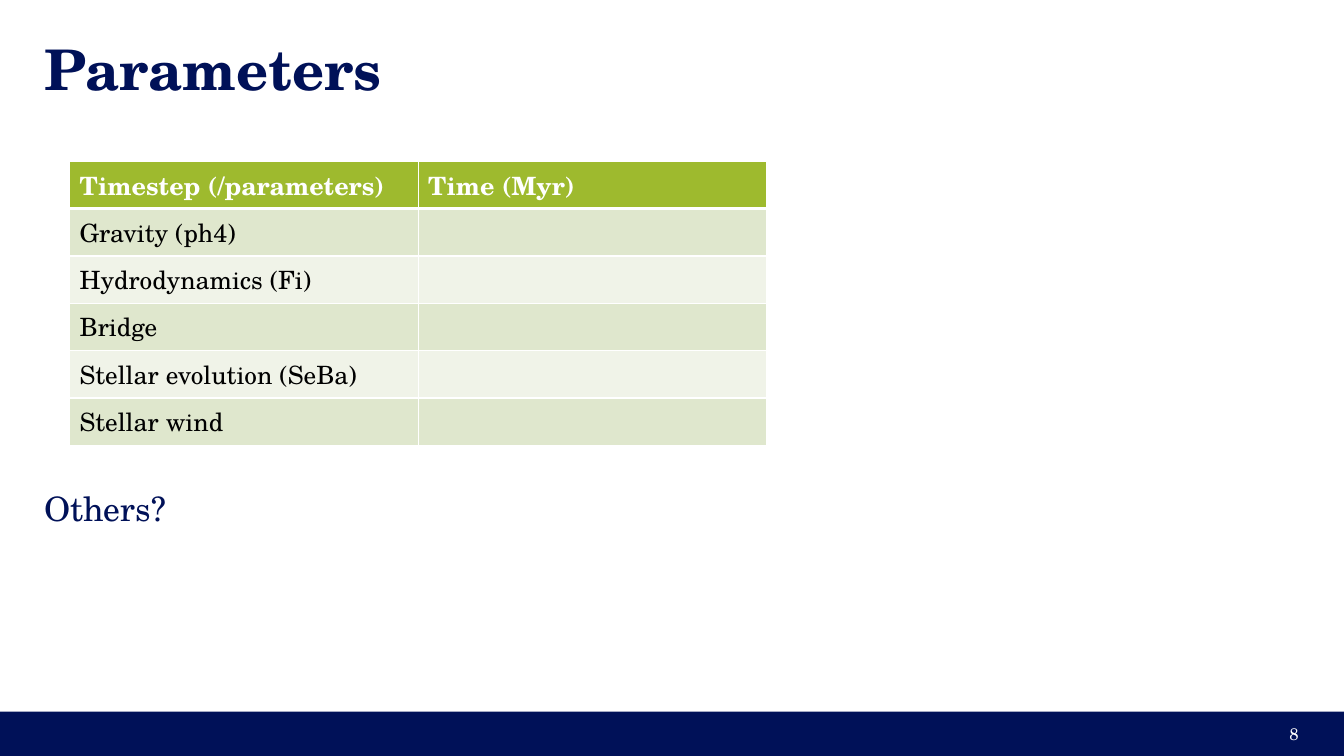
import pptx
import pptx.util
import pptx.dml.color
import pptx.enum.shapes
import pptx.enum.text
import pptx.oxml
import pptx.oxml.ns

WIDTH, HEIGHT = 13.34, 7.5
MARGIN = 0.44
FONT = "TeX Gyre Schola"
COLOURS = {
    "navy": "001158",
    "white": "FFFFFF",
    "black": "000000",
    "header": "9EBA2E",
    "odd": "DFE7CD",
    "even": "F0F3E8",
}
ROWS = [
    ("Timestep (/parameters)", "Time (Myr)"),
    ("Gravity (ph4)", ""),
    ("Hydrodynamics (Fi)", ""),
    ("Bridge", ""),
    ("Stellar evolution (SeBa)", ""),
    ("Stellar wind", ""),
]
COLUMN_WIDTH, ROW_HEIGHT = 3.46, 0.47


def inches(*lengths):
    return [pptx.util.Inches(length) for length in lengths]


def colour(name):
    return pptx.dml.color.RGBColor.from_string(COLOURS[name])


def style(font, size, name, bold=False):
    font.name = FONT
    font.size = pptx.util.Pt(size)
    font.bold = bold
    font.color.rgb = colour(name)


def add_text(page, area, text, size, name, bold=False, align="LEFT", anchor="MIDDLE"):
    frame = page.shapes.add_textbox(*inches(*area)).text_frame
    frame.word_wrap = True
    frame.vertical_anchor = getattr(pptx.enum.text.MSO_ANCHOR, anchor)
    frame.margin_left = frame.margin_right = 0
    frame.margin_top = frame.margin_bottom = 0
    para = frame.paragraphs[0]
    para.alignment = getattr(pptx.enum.text.PP_ALIGN, align)
    span = para.add_run()
    span.text = text
    style(span.font, size, name, bold)


def add_footer(page):
    height = 0.44
    bar = page.shapes.add_shape(
        pptx.enum.shapes.MSO_SHAPE.RECTANGLE,
        *inches(0, HEIGHT - height, WIDTH, height),
    )
    bar.shadow.inherit = False
    bar.fill.solid()
    bar.fill.fore_color.rgb = colour("navy")
    bar.line.fill.background()
    add_text(page, (9.99, 7.08, 2.9, 0.4), "8", 12, "white", align="RIGHT")


def set_borders(cell, bottom):
    """Draw white cell edges, 1 pt wide except for the bottom one."""
    properties = cell._tc.get_or_add_tcPr()
    edges = {"L": 1, "R": 1, "T": 1, "B": bottom}
    for position, (side, points) in enumerate(edges.items()):
        properties.insert(position, pptx.oxml.parse_xml(
            f'<a:ln{side} {pptx.oxml.ns.nsdecls("a")} w="{pptx.util.Pt(points)}">'
            f'<a:solidFill><a:srgbClr val="{COLOURS["white"]}"/></a:solidFill>'
            f'</a:ln{side}>'))


def fill_cell(cell, text, row):
    header = row == 0
    cell.fill.solid()
    cell.fill.fore_color.rgb = colour("header" if header else "odd" if row % 2 else "even")
    set_borders(cell, 3 if header else 1)
    para = cell.text_frame.paragraphs[0]
    if text:
        span = para.add_run()
        span.text = text
        style(span.font, 18, "white" if header else "black", header)
    else:
        para.font.size = pptx.util.Pt(18)


def add_parameter_table(page):
    columns = len(ROWS[0])
    area = inches(0.69, 1.6, COLUMN_WIDTH * columns, ROW_HEIGHT * len(ROWS))
    table = page.shapes.add_table(len(ROWS), columns, *area).table
    for column in table.columns:
        column.width = pptx.util.Inches(COLUMN_WIDTH)
    for row, texts in enumerate(ROWS):
        table.rows[row].height = pptx.util.Inches(ROW_HEIGHT)
        for column, text in enumerate(texts):
            fill_cell(table.cell(row, column), text, row)


def main():
    deck = pptx.Presentation()
    deck.slide_width, deck.slide_height = inches(WIDTH, HEIGHT)
    page = deck.slides.add_slide(deck.slide_layouts[6])
    add_footer(page)
    add_text(page, (MARGIN, 0.44, WIDTH - 2 * MARGIN, 0.47), "Parameters", 40, "navy", bold=True)
    add_text(page, (MARGIN, 4.84, 7.49, 0.5), "Others?", 24, "navy", anchor="TOP")
    add_parameter_table(page)
    deck.save("out.pptx")


if __name__ == "__main__":
    main()
